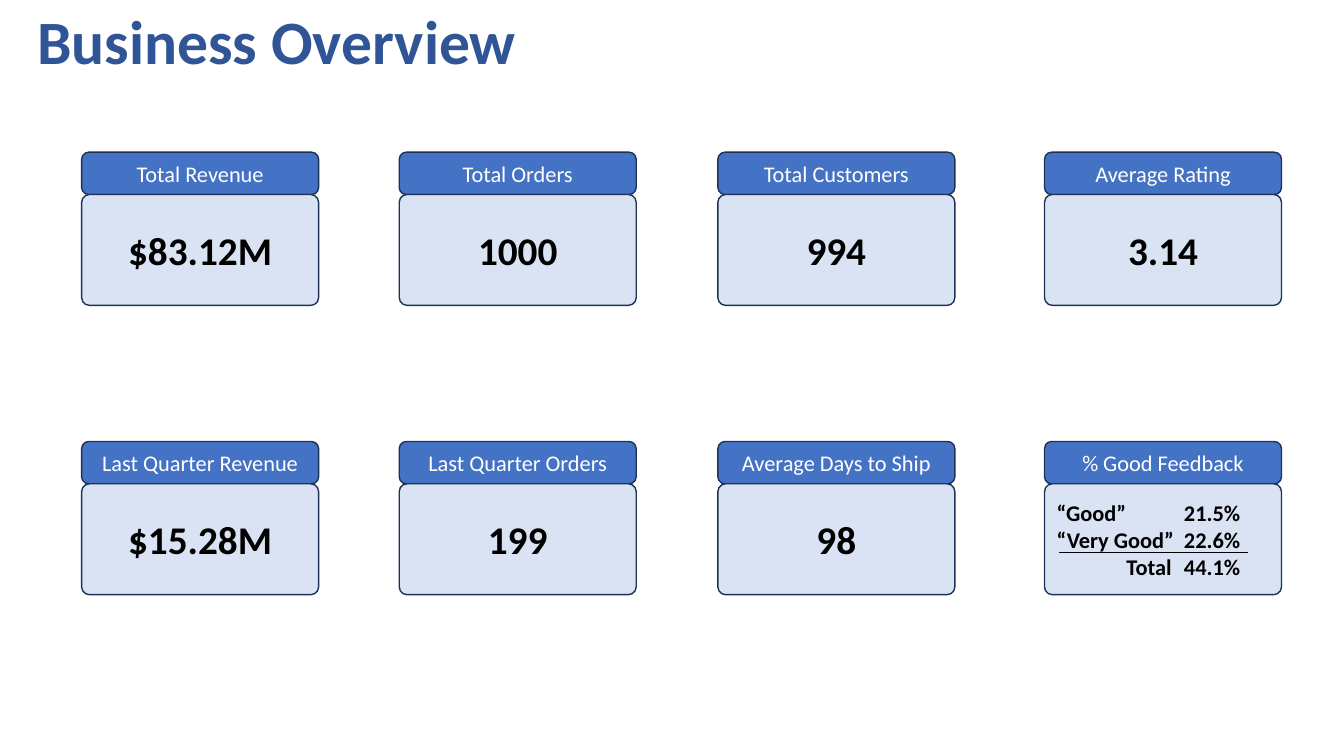
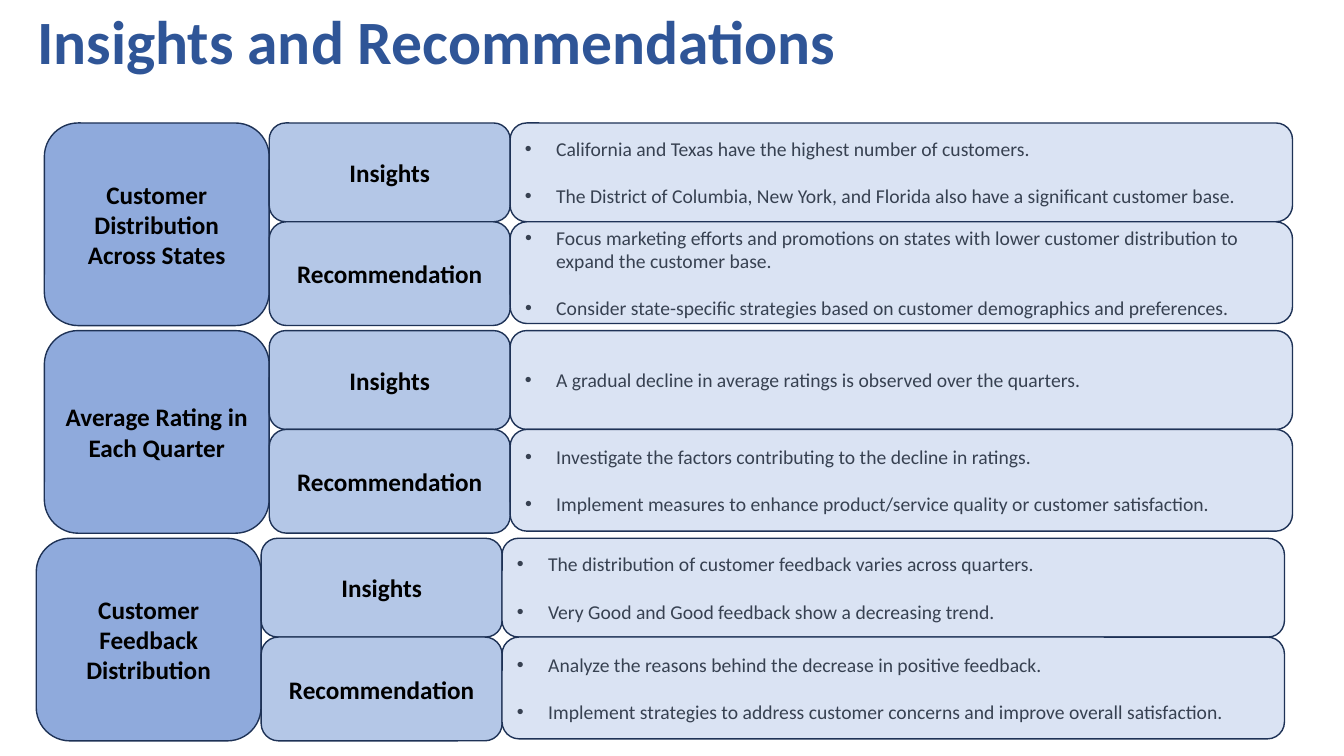
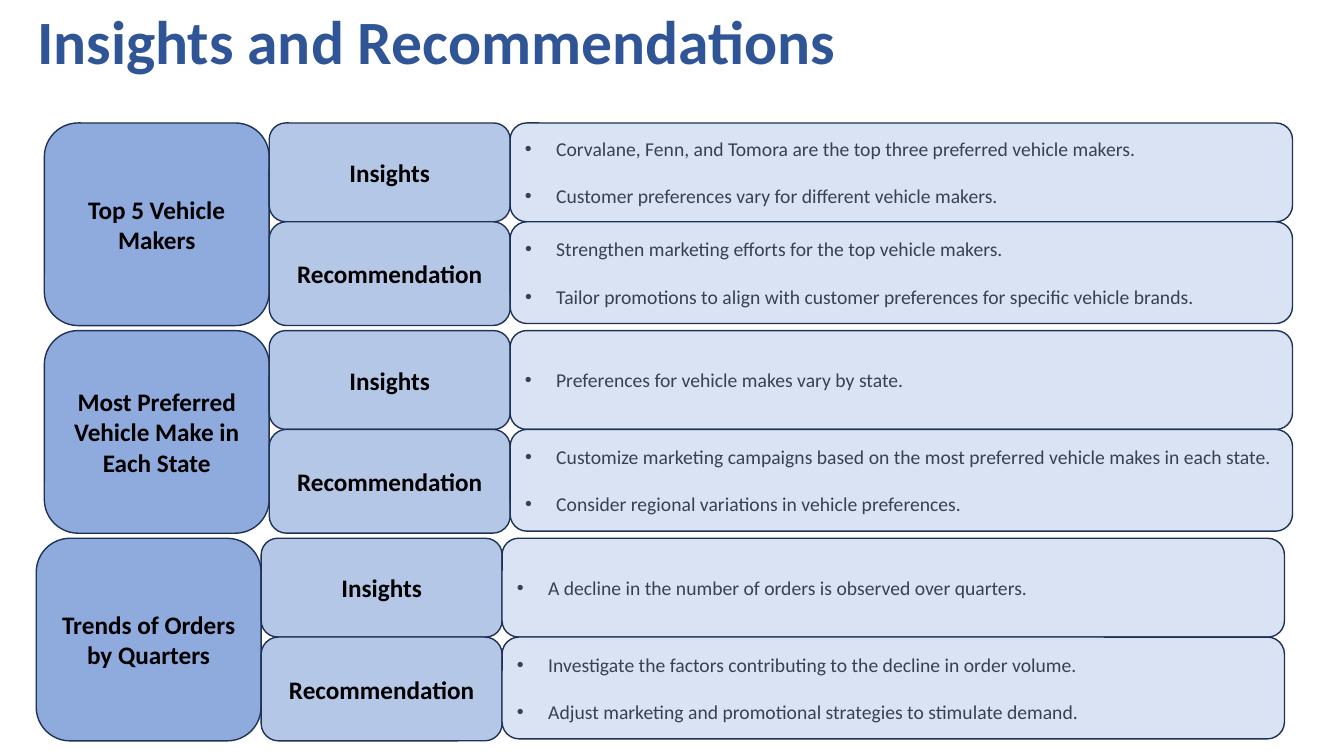
import pptx
import pptx.dml.color
import pptx.enum.shapes
import pptx.enum.text
import pptx.oxml.ns
import pptx.util
from lxml import etree

Inches = pptx.util.Inches
Pt = pptx.util.Pt
ALIGN = pptx.enum.text.PP_ALIGN
ANCHOR = pptx.enum.text.MSO_ANCHOR
qn = pptx.oxml.ns.qn

COLORS = {
    "title": "2F5597", "header": "4472C4", "topic": "8FAADC", "label": "B4C7E7",
    "body": "DAE3F3", "outline": "1E3256", "black": "000000", "white": "FFFFFF",
    "bullet": "374151",
}


def rgb(name):
    return pptx.dml.color.RGBColor.from_string(COLORS[name])


class Deck:
    """Holds the shared style and the current slide, and draws each kind of element."""

    font = "Calibri"
    indent = 0.31

    def __init__(self):
        self.prs = pptx.Presentation()
        self.prs.slide_width = Inches(13.33)
        self.prs.slide_height = Inches(7.5)
        self.slide = None

    def new_slide(self, title):
        self.slide = self.prs.slides.add_slide(self.prs.slide_layouts[6])
        tb = self.slide.shapes.add_textbox(Inches(0.27), Inches(-0.05), Inches(10.86), Inches(0.87))
        tf = tb.text_frame
        tf.word_wrap = True
        tf.vertical_anchor = ANCHOR.BOTTOM
        p = tf.paragraphs[0]
        p.line_spacing = 0.9
        self.run(p, title, 44, "title", True)

    def run(self, p, text, size, color, bold=False):
        r = p.add_run()
        r.text = text
        r.font.name = self.font
        r.font.size = Pt(size)
        r.font.bold = bold
        r.font.color.rgb = rgb(color)

    def paragraph(self, tf, index, align):
        p = tf.add_paragraph() if index else tf.paragraphs[0]
        p.alignment = align
        return p

    def box(self, x, y, w, h, fill, adj=None):
        sp = self.slide.shapes.add_shape(
            pptx.enum.shapes.MSO_SHAPE.ROUNDED_RECTANGLE, Inches(x), Inches(y), Inches(w), Inches(h))
        sp.shadow.inherit = False
        sp.fill.solid()
        sp.fill.fore_color.rgb = rgb(fill)
        sp.line.color.rgb = rgb("outline")
        sp.line.width = Pt(1)
        if adj is not None:
            sp.adjustments[0] = adj
        tf = sp.text_frame
        tf.word_wrap = True
        tf.vertical_anchor = ANCHOR.MIDDLE
        return tf

    def text_box(self, x, y, w, h, fill, text, size, color="black", bold=True, adj=None):
        tf = self.box(x, y, w, h, fill, adj)
        self.run(self.paragraph(tf, 0, ALIGN.CENTER), text, size, color, bold)

    def bullet_box(self, x, y, w, h, items):
        tf = self.box(x, y, w, h, "body")
        for i, item in enumerate(items):
            p = self.paragraph(tf, i, ALIGN.LEFT)
            if i:
                p.space_before = Pt(17)
            pPr = p._p.get_or_add_pPr()
            pPr.set("marL", str(Inches(self.indent)))
            pPr.set("indent", str(-Inches(self.indent)))
            etree.SubElement(pPr, qn("a:buFont")).set("typeface", "Arial")
            etree.SubElement(pPr, qn("a:buChar")).set("char", "•")
            self.run(p, item, 14, "bullet")

    def tabbed_box(self, x, y, w, h, rows, adj):
        tf = self.box(x, y, w, h, "body", adj)
        for i, (text, stops) in enumerate(rows):
            p = self.paragraph(tf, i, ALIGN.LEFT)
            tabs = etree.SubElement(p._p.get_or_add_pPr(), qn("a:tabLst"))
            for stop in stops:
                tab = etree.SubElement(tabs, qn("a:tab"))
                tab.set("pos", str(Inches(stop)))
                tab.set("algn", "r")
            self.run(p, text, 16, "black", True)

    def line(self, x1, y1, x2, y2):
        cn = self.slide.shapes.add_connector(
            pptx.enum.shapes.MSO_CONNECTOR.STRAIGHT, Inches(x1), Inches(y1), Inches(x2), Inches(y2))
        cn.line.color.rgb = rgb("black")
        cn.line.width = Pt(0.5)
        etree.SubElement(cn._element.spPr, qn("a:effectLst"))

    def card(self, x, y, header, value):
        w, head_h, body_h, adj = 2.35, 0.42, 1.1, 0.07
        self.text_box(x, y, w, head_h, "header", header, 16, "white", False)
        if isinstance(value, str):
            self.text_box(x, y + head_h, w, body_h, "body", value, 28, adj=adj)
        else:
            self.tabbed_box(x, y + head_h, w, body_h, value, adj)

    def panel(self, x, y, topic, insights, recommendations):
        topic_w, label_w, body_w, top_h = 2.23, 2.39, 7.76, 0.98
        label_x = x + topic_w
        body_x = label_x + label_w
        self.text_box(x, y, topic_w, 2.01, "topic", topic, 18)
        self.text_box(label_x, y, label_w, top_h, "label", "Insights", 18)
        self.text_box(label_x, y + top_h, label_w, 1.03, "label", "Recommendation", 18)
        self.bullet_box(body_x, y, body_w, top_h, insights)
        self.bullet_box(body_x, y + top_h, body_w, 1.01, recommendations)


FEEDBACK = [
    ("“Good”\t21.5%", [1.82]),
    ("“Very Good”\t22.6%", [1.82]),
    ("\tTotal\t44.1%", [1.14, 1.82]),
]
CARD_COLUMNS = [0.81, 3.96, 7.12, 10.36]
CARD_ROWS = [
    (1.51, [("Total Revenue", "$83.12M"), ("Total Orders", "1000"),
            ("Total Customers", "994"), ("Average Rating", "3.14")]),
    (4.38, [("Last Quarter Revenue", "$15.28M"), ("Last Quarter Orders", "199"),
            ("Average Days to Ship", "98"), ("% Good Feedback", FEEDBACK)]),
]

PANEL_COLUMNS = [0.44, 0.44, 0.36]
PANEL_SLIDES = [
    [
        ("Customer Distribution Across States",
         ["California and Texas have the highest number of customers.",
          "The District of Columbia, New York, and Florida also have a significant customer base."],
         ["Focus marketing efforts and promotions on states with lower customer distribution to "
          "expand the customer base.",
          "Consider state-specific strategies based on customer demographics and preferences."]),
        ("Average Rating in Each Quarter",
         ["A gradual decline in average ratings is observed over the quarters."],
         ["Investigate the factors contributing to the decline in ratings.",
          "Implement measures to enhance product/service quality or customer satisfaction."]),
        ("Customer Feedback Distribution",
         ["The distribution of customer feedback varies across quarters.",
          "Very Good and Good feedback show a decreasing trend."],
         ["Analyze the reasons behind the decrease in positive feedback.",
          "Implement strategies to address customer concerns and improve overall satisfaction."]),
    ],
    [
        ("Top 5 Vehicle Makers",
         ["Corvalane, Fenn, and Tomora are the top three preferred vehicle makers.",
          "Customer preferences vary for different vehicle makers."],
         ["Strengthen marketing efforts for the top vehicle makers.",
          "Tailor promotions to align with customer preferences for specific vehicle brands."]),
        ("Most Preferred Vehicle Make in Each State",
         ["Preferences for vehicle makes vary by state."],
         ["Customize marketing campaigns based on the most preferred vehicle makes in each state.",
          "Consider regional variations in vehicle preferences."]),
        ("Trends of Orders by Quarters",
         ["A decline in the number of orders is observed over quarters."],
         ["Investigate the factors contributing to the decline in order volume.",
          "Adjust marketing and promotional strategies to stimulate demand."]),
    ],
]


def main():
    deck = Deck()
    deck.new_slide("Business Overview")
    for y, cards in CARD_ROWS:
        for x, (header, value) in zip(CARD_COLUMNS, cards):
            deck.card(x, y, header, value)
    deck.line(10.5, 5.48, 12.38, 5.48)

    for panels in PANEL_SLIDES:
        deck.new_slide("Insights and Recommendations")
        for i, (x, panel) in enumerate(zip(PANEL_COLUMNS, panels)):
            deck.panel(x, 1.22 + 2.06 * i, *panel)

    deck.prs.save("out.pptx")


if __name__ == "__main__":
    main()
